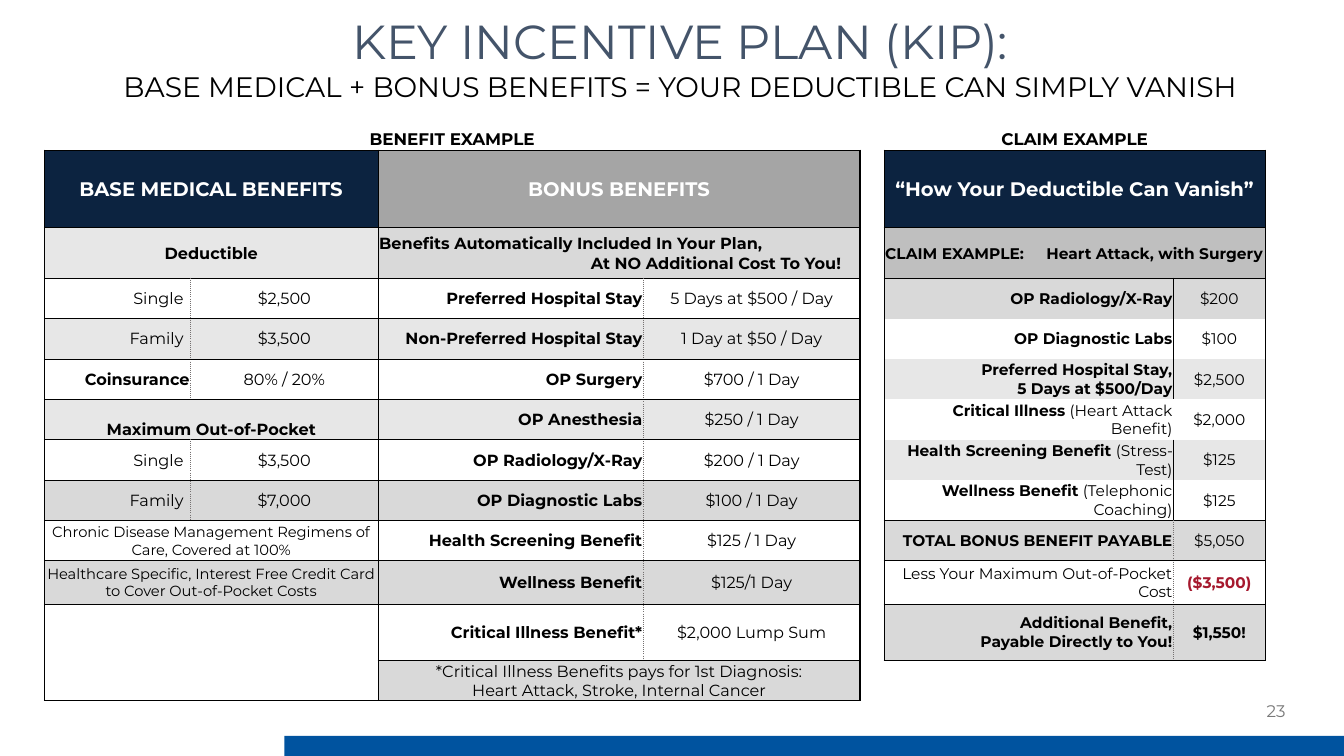
import dataclasses
import itertools

import lxml.etree
import pptx
import pptx.dml.color
import pptx.enum.shapes
import pptx.enum.text
import pptx.oxml.ns
import pptx.util

Inches = pptx.util.Inches
Pt = pptx.util.Pt
qn = pptx.oxml.ns.qn
ALIGN = pptx.enum.text.PP_ALIGN
ANCHOR = pptx.enum.text.MSO_ANCHOR
FONT = "Montserrat"
NO_GRID_STYLE = "{2D5ABB26-0587-4C30-8999-92F81FD0307C}"
COLORS = {
    "black": "000000", "white": "FFFFFF", "slate": "44546A", "muted": "797979",
    "bar": "00539F", "navy": "0C2340", "gray": "A5A5A5", "mid": "BFBFBF",
    "shade": "D9D9D9", "light": "E7E7E7", "red": "A6192E", "dots": "757171",
}
COLUMN_WIDTHS = [1.45, 1.86, 2.63, 2.15, 0.17, 2.87, 0.91]
ROW_HEIGHTS = [0.43, 0.77, 0.5] + [0.38] * 7 + [0.43, 0.56, 0.4]


@dataclasses.dataclass
class Row:
    """One panel row; in the label, text after a bar is not bold."""
    label: str
    value: str = ""
    fill: str = ""
    rule: float = 0.5
    size: float = 11.5
    ink: str = "black"
    value_ink: str = ""
    inset: float = 0.01
    anchor: ANCHOR = ANCHOR.MIDDLE
    dotted: bool = True
    depth: int = 1


BASE_ROWS = [
    Row("BASE MEDICAL BENEFITS", fill="navy", rule=1, size=14, ink="white"),
    Row("Deductible", fill="light", rule=1),
    Row("|Single", "$2,500", inset=0.07),
    Row("|Family", "$3,500", "light", inset=0.07),
    Row("Coinsurance", "80% / 20%", rule=1),
    Row("Maximum Out-of-Pocket", fill="light", rule=1, anchor=ANCHOR.BOTTOM),
    Row("|Single", "$3,500", inset=0.07),
    Row("|Family", "$7,000", "shade", inset=0.07),
    Row("|Chronic Disease Management Regimens of Care, Covered at 100%", size=10.5),
    Row("|Healthcare Specific, Interest Free Credit Card to Cover Out-of-Pocket Costs",
        fill="shade", size=10.5),
    Row("", rule=1, depth=2),
]
BONUS_ROWS = [
    Row("BONUS BENEFITS", fill="gray", rule=1, size=14, ink="white"),
    Row("Benefits Automatically Included In Your Plan,\nAt NO Additional Cost To You!",
        fill="shade", rule=1),
    Row("Preferred Hospital Stay", "5 Days at $500 / Day"),
    Row("Non-Preferred Hospital Stay", "1 Day at $50 / Day", "light"),
    Row("OP Surgery", "$700 / 1 Day"),
    Row("OP Anesthesia", "$250 / 1 Day", "light"),
    Row("OP Radiology/X-Ray", "$200 / 1 Day"),
    Row("OP Diagnostic Labs", "$100 / 1 Day", "shade"),
    Row("Health Screening Benefit", "$125 / 1 Day"),
    Row("Wellness Benefit", "$125/1 Day", "shade"),
    Row("Critical Illness Benefit*", "$2,000 Lump Sum"),
    Row("|*Critical Illness Benefits pays for 1st Diagnosis:\n"
        "|Heart Attack, Stroke, Internal Cancer", fill="shade", rule=1),
]
CLAIM_ROWS = [
    Row("“How Your Deductible Can Vanish”", fill="navy", rule=1, size=14, ink="white"),
    Row("CLAIM EXAMPLE:\tHeart Attack, with Surgery", fill="mid", rule=0, size=11),
    Row("OP Radiology/X-Ray", "$200", "shade", 0, 11, dotted=False),
    Row("OP Diagnostic Labs", "$100", "", 0, 11, dotted=False),
    Row("Preferred Hospital Stay,\n5 Days at $500/Day", "$2,500", "light", 0, 11, dotted=False),
    Row("Critical Illness| (Heart Attack\n|Benefit)", "$2,000", "", 0, 11, dotted=False),
    Row("Health Screening Benefit| (Stress-Test)", "$125", "light", 0, 11, dotted=False),
    Row("Wellness Benefit| (Telephonic Coaching)", "$125", "", 1, 11, dotted=False),
    Row("TOTAL BONUS BENEFIT PAYABLE", "$5,050", "shade", 0, 11),
    Row("|Less Your Maximum Out-of-Pocket Cost", "($3,500)", "", 0.5, 11, value_ink="red"),
    Row("Additional Benefit,\nPayable Directly to You!", "$1,550!", "shade", 1, 11,
        value_ink="black"),
]


def color(name):
    """Return the named colour."""
    return pptx.dml.color.RGBColor.from_string(COLORS[name])


def style_span(span, size, ink, bold=False):
    """Format one run."""
    span.font.name, span.font.size, span.font.bold = FONT, Pt(size), bold
    span.font.color.rgb = color(ink)


def write_cell(cell, label, size, ink, align, anchor=ANCHOR.MIDDLE, inset=0.01):
    """Write marked-up lines into a table cell."""
    cell.margin_left = cell.margin_top = Inches(0.01)
    cell.margin_right, cell.margin_bottom = Inches(inset), 0
    cell.vertical_anchor = anchor
    for index, line in enumerate(label.split("\n")):
        frame = cell.text_frame
        para = frame.add_paragraph() if index else frame.paragraphs[0]
        para.alignment = align
        strong, _, plain = line.partition("|")
        for words, bold in ((strong, True), (plain, False)):
            if words:
                span = para.add_run()
                span.text = words
                style_span(span, size, ink, bold)


def draw_edges(cell, edges):
    """Draw the cell borders given as side: (weight, colour, dash)."""
    properties = cell._tc.get_or_add_tcPr()
    for side in "LRTB":
        weight, ink, dash = edges.get(side, (0, "black", "solid"))
        if weight:
            line = lxml.etree.SubElement(properties, qn(f"a:ln{side}"), w=str(Pt(weight)))
            solid = lxml.etree.SubElement(line, qn("a:solidFill"))
            lxml.etree.SubElement(solid, qn("a:srgbClr"), val=COLORS[ink])
            lxml.etree.SubElement(line, qn("a:prstDash"), val=dash)


def paint(cell, fill):
    """Fill a cell with a named colour, or leave it clear."""
    if fill:
        cell.fill.solid()
        cell.fill.fore_color.rgb = color(fill)
    else:
        cell.fill.background()


def add_panel(table, column, rows):
    """Fill a two-column panel of the table, starting below the captions."""
    above = 1
    for index, row in enumerate(rows, 1):
        left, right = table.cell(index, column), table.cell(index, column + 1)
        outer = (1, "black", "solid")
        inner = (0.5 if row.dotted else 0, "dots", "sysDot")
        level = {"T": (above, "black", "solid"), "B": (row.rule, "black", "solid")}
        if row.value:
            draw_edges(left, {"L": outer, "R": inner, **level})
            draw_edges(right, {"L": inner, "R": outer, **level})
            write_cell(left, row.label, row.size, row.ink, ALIGN.RIGHT, row.anchor, row.inset)
            value = row.value if row.value_ink else "|" + row.value
            write_cell(right, value, row.size, row.value_ink or "black", ALIGN.CENTER)
            paint(right, row.fill)
        else:
            for depth, side in itertools.product(range(row.depth), range(2)):
                draw_edges(table.cell(index + depth, column + side),
                           {"L": outer, "R": outer, **level})
            left.merge(table.cell(index + row.depth - 1, column + 1))
            write_cell(left, row.label, row.size, row.ink, ALIGN.CENTER, row.anchor)
        paint(left, row.fill)
        above = row.rule


def add_caption(table, first, last, label):
    """Write a caption across columns of the top row."""
    for column in range(first, last + 1):
        draw_edges(table.cell(0, column), {"B": (1, "black", "solid")})
    cell = table.cell(0, first)
    cell.merge(table.cell(0, last))
    write_cell(cell, label, 12, "black", ALIGN.CENTER, ANCHOR.BOTTOM)


def align_notes(table):
    """Stagger the bonus note and set the claim title on a tab stop."""
    opening, closing = table.cell(2, 2).text_frame.paragraphs
    opening.alignment = closing.alignment = ALIGN.LEFT
    closing._p.get_or_add_pPr().set("marL", str(Inches(2.1)))
    claim = table.cell(2, 5).text_frame.paragraphs[0]
    claim.alignment = ALIGN.LEFT
    stops = lxml.etree.SubElement(claim._p.get_or_add_pPr(), qn("a:tabLst"))
    lxml.etree.SubElement(stops, qn("a:tab"), pos=str(Inches(1.6)), algn="l")


def add_benefit_table(page, left, top):
    """Place the benefit and claim table."""
    frame = page.shapes.add_table(len(ROW_HEIGHTS), len(COLUMN_WIDTHS), Inches(left), Inches(top),
                                  Inches(sum(COLUMN_WIDTHS)), Inches(sum(ROW_HEIGHTS)))
    table = frame.table
    table.first_row = table.horz_banding = False
    table._tbl.tblPr.find(qn("a:tableStyleId")).text = NO_GRID_STYLE
    for column, width in zip(table.columns, COLUMN_WIDTHS):
        column.width = Inches(width)
    for row, height in zip(table.rows, ROW_HEIGHTS):
        row.height = Inches(height)
    add_caption(table, 0, 3, "BENEFIT EXAMPLE")
    add_caption(table, 5, 6, "CLAIM EXAMPLE")
    for column, rows in ((0, BASE_ROWS), (2, BONUS_ROWS), (5, CLAIM_ROWS)):
        add_panel(table, column, rows)
    align_notes(table)


def add_text(page, bounds, lines, align):
    """Place a text box of (words, size, colour) lines and return its frame."""
    frame = page.shapes.add_textbox(*map(Inches, bounds)).text_frame
    frame.word_wrap = True
    frame.text = "\n".join(words for words, _, _ in lines)
    for para, (_, size, ink) in zip(frame.paragraphs, lines):
        para.alignment = align
        style_span(para.runs[0], size, ink)
    return frame


def add_heading(page, bounds):
    """Place the title and subtitle."""
    title, subtitle = add_text(page, bounds, [
        ("KEY INCENTIVE PLAN (KIP):", 34.1, "slate"),
        ("BASE MEDICAL + BONUS BENEFITS = YOUR DEDUCTIBLE CAN SIMPLY VANISH", 20.1, "black"),
    ], ALIGN.CENTER).paragraphs
    title.line_spacing = subtitle.line_spacing = 0.7
    subtitle.space_before = Pt(8)


def add_footer(page, left, top, width, height):
    """Place the page number and the bottom bar."""
    number = add_text(page, (9.85, top - 0.45, 3, 0.4), [("23", 12, "muted")], ALIGN.RIGHT)
    number.vertical_anchor = ANCHOR.MIDDLE
    bar = page.shapes.add_shape(pptx.enum.shapes.MSO_SHAPE.RECTANGLE,
                                *map(Inches, (left, top, width, height)))
    bar.shadow.inherit = False
    bar.fill.solid()
    bar.fill.fore_color.rgb = color("bar")
    bar.line.fill.background()


def main():
    """Build and save the slide."""
    deck = pptx.Presentation()
    deck.slide_width, deck.slide_height = Inches(13.33), Inches(7.5)
    page = deck.slides.add_slide(deck.slide_layouts[6])
    add_heading(page, (0.44, 0.22, 12.61, 0.88))
    add_footer(page, 2.82, 7.3, 10.51, 0.2)
    add_benefit_table(page, 0.44, 1.06)
    deck.save("out.pptx")


if __name__ == "__main__":
    main()
